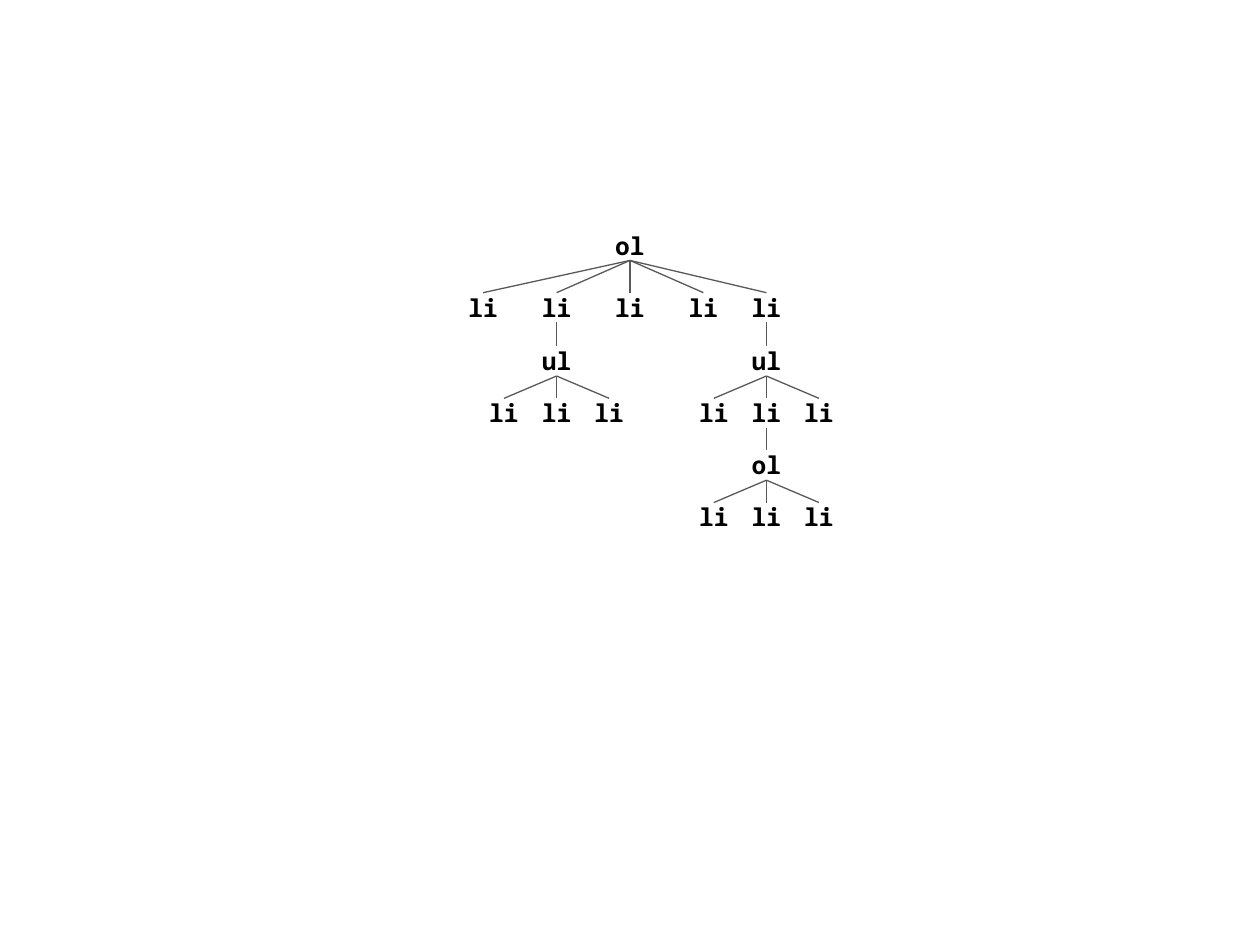
import pptx
import pptx.util
import pptx.dml.color
import pptx.enum.shapes
import pptx.enum.text
import pptx.oxml.ns
import lxml.etree

Cm = pptx.util.Cm
Pt = pptx.util.Pt
hues = {"text": "000000", "line": "595959"}
wide, high = 1.27, 0.59
tops = [4.65, 5.9, 6.98, 8.03, 9.08, 10.13]
mid, left, right = 12.7, 11.22, 15.45
step, side = 1.48, 1.06

deck = pptx.Presentation()
deck.slide_width, deck.slide_height = Cm(25.4), Cm(19.05)
slide = deck.slides.add_slide(deck.slide_layouts[6])


def tag(word, x, row):
    box = slide.shapes.add_textbox(
        Cm(x - wide / 2), Cm(tops[row]), Cm(wide), Cm(high))
    frame = box.text_frame
    frame.word_wrap = True
    frame.auto_size = pptx.enum.text.MSO_AUTO_SIZE.SHAPE_TO_FIT_TEXT
    frame.margin_left = frame.margin_right = 0
    frame.margin_top = frame.margin_bottom = 0
    para = frame.paragraphs[0]
    para.alignment = pptx.enum.text.PP_ALIGN.CENTER
    run = para.add_run()
    run.text = word
    run.font.name = "Noto Sans Mono"
    run.font.size = Pt(14)
    run.font.bold = True
    run.font.color.rgb = pptx.dml.color.RGBColor.from_string(hues["text"])


def link(start, end, row):
    line = slide.shapes.add_connector(
        pptx.enum.shapes.MSO_CONNECTOR.STRAIGHT,
        Cm(start), Cm(tops[row] + 0.6), Cm(end), Cm(tops[row + 1]))
    line.line.width = Pt(0.75)
    line.line.color.rgb = pptx.dml.color.RGBColor.from_string(hues["line"])
    lxml.etree.SubElement(
        line._element.spPr, pptx.oxml.ns.qn("a:effectLst"))


# Each list: tag, centre, row, centres of its items
lists = [
    ("ol", mid, 0, [mid - 2 * step, left, mid, mid + step, right]),
    ("ul", left, 2, [left - side, left, left + side]),
    ("ul", right, 2, [right - side, right, right + side]),
    ("ol", right, 4, [right - side, right, right + side]),
]
for word, x, row, items in lists:
    # Nested lists hang from the item above
    if row:
        link(x, x, row - 1)
    tag(word, x, row)
    for item in items:
        link(x, item, row)
        tag("li", item, row + 1)

deck.save("out.pptx")
